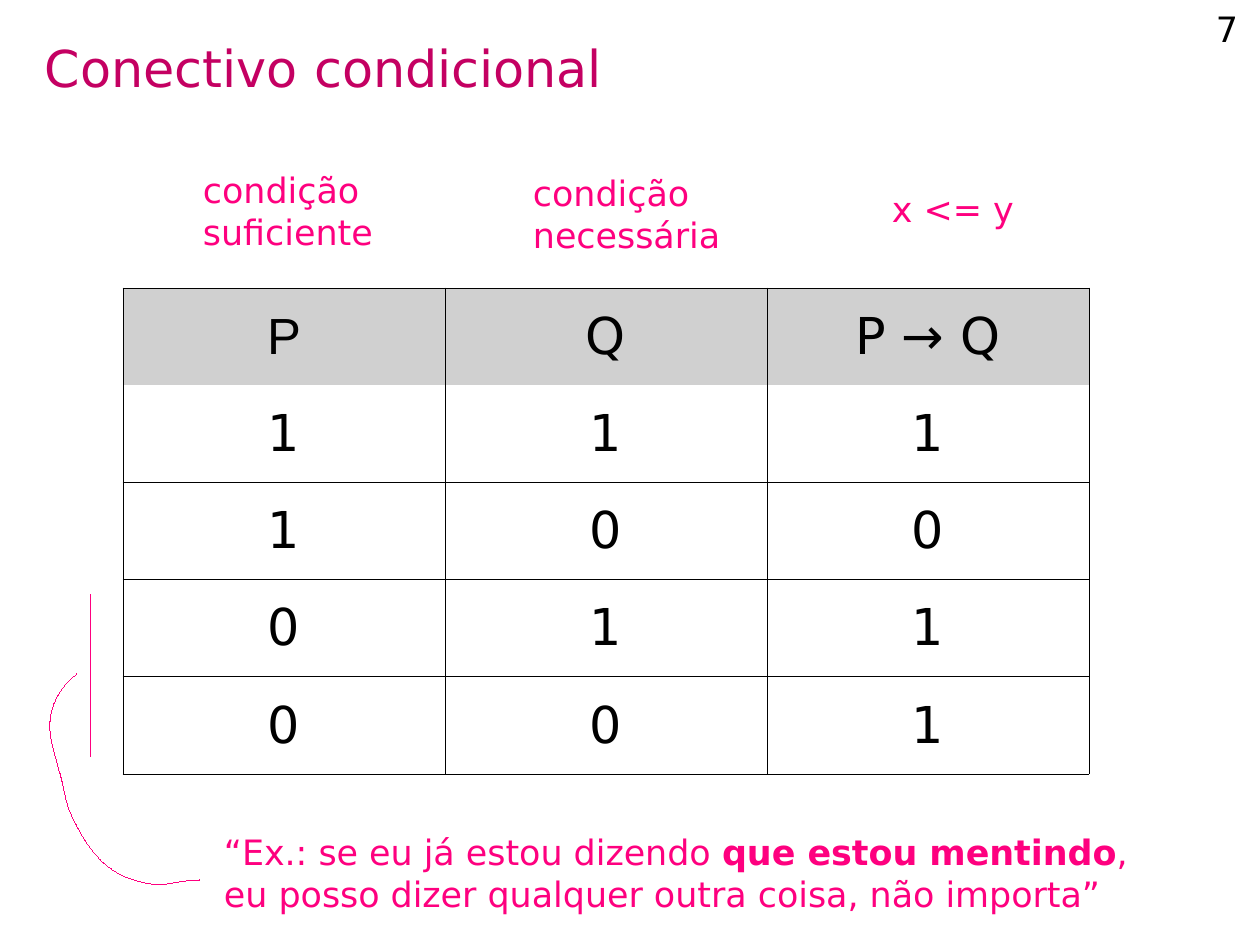
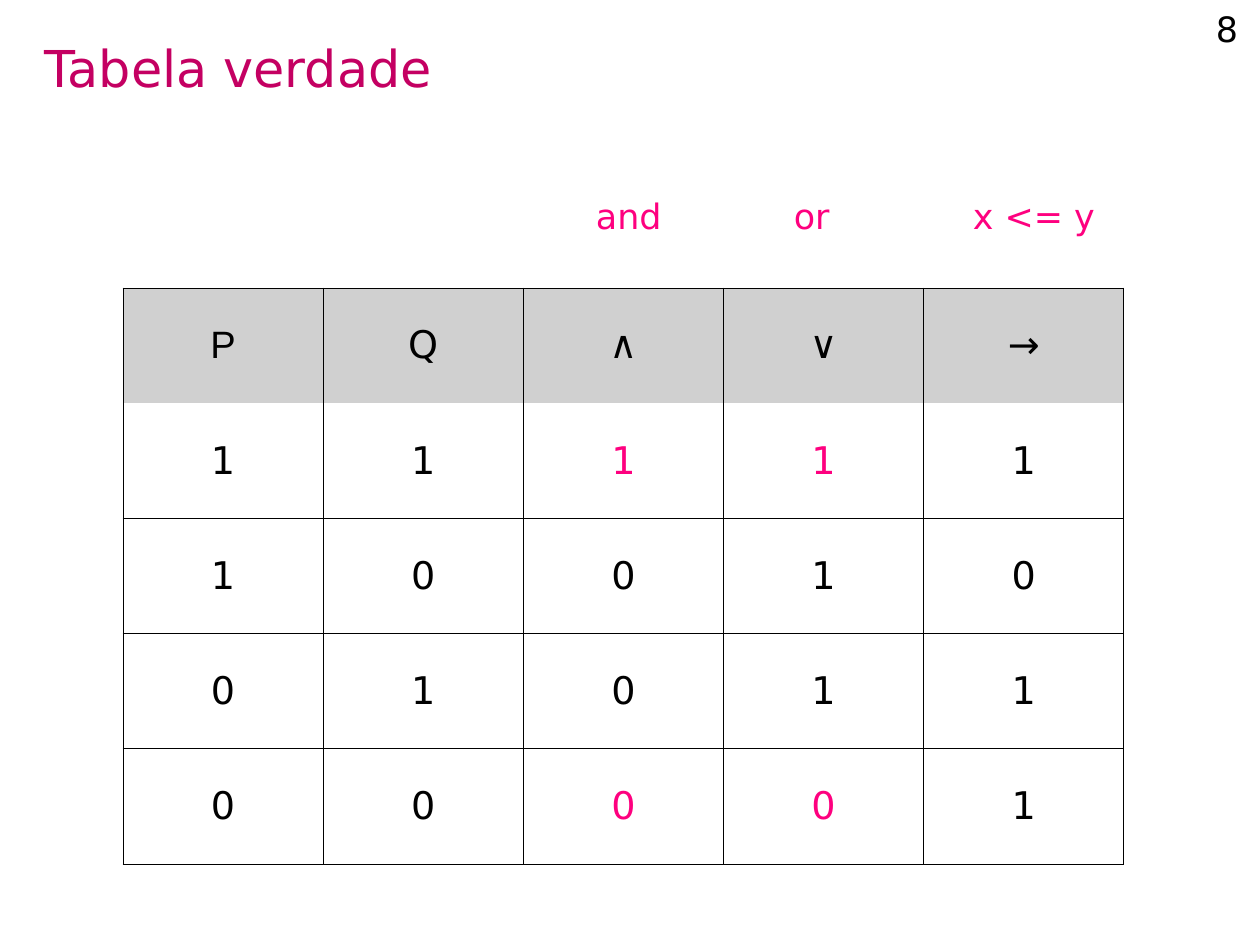
from dataclasses import dataclass

from lxml import etree
from pptx import Presentation, util as u
from pptx.dml.color import RGBColor
from pptx.enum import shapes, text as t
from pptx.oxml import ns

PX = 8000  # EMU; a slide of 28 by 21 cm is 1260 by 945 px
WIDE, HIGH = 1260, 945
PLAIN = "{2D5ABB26-0587-4C30-8999-92F81FD0307C}"  # table style without grid
LEFT, RIGHT = t.PP_ALIGN.LEFT, t.PP_ALIGN.RIGHT


@dataclass(frozen=True)
class Theme:
    title: str = "C40062"
    accent: str = "FE007F"
    ink: str = "000000"
    head: str = "D0D0D0"
    font: str = "DejaVu Sans"
    alt: str = "Arial"
    big: int = 32
    mid: int = 24
    note: int = 22
    grid: float = 0.57
    hair: float = 0.01


TH = Theme()


def rgb(code):
    return RGBColor.from_string(code)


def write(frame, words, size=TH.note, color=TH.accent, font=TH.font,
          align=LEFT):
    """Fill a frame: \\n parts paragraphs, \\v lines; asterisks hold bold."""
    for i, line in enumerate(words.split("\n")):
        para = frame.add_paragraph() if i else frame.paragraphs[0]
        para.alignment = align
        for k, part in enumerate(line.split("*")):
            for j, bit in enumerate(part.split("\v")):
                if j:
                    para.add_line_break()
                run = para.add_run()
                run.text = bit
                run.font.name = font
                run.font.size = u.Pt(size)
                run.font.bold = k % 2 == 1
                run.font.color.rgb = rgb(color)


def box(slide, area, words, wrap=True, pad=(11, 6), anchor=t.MSO_ANCHOR.TOP,
        **form):
    frame = slide.shapes.add_textbox(*(n * PX for n in area)).text_frame
    frame.margin_left = frame.margin_right = pad[0] * PX
    frame.margin_top = frame.margin_bottom = pad[1] * PX
    frame.vertical_anchor = anchor
    frame.word_wrap = wrap
    write(frame, words, **form)


def label(slide, area, words):
    box(slide, area, words, wrap=False)


def page(deck, title, num):
    slide = deck.slides.add_slide(deck.slide_layouts[6])
    box(slide, (45, 22, 1192, 90), title, pad=(0, 0),
        anchor=t.MSO_ANCHOR.MIDDLE, size=TH.big, color=TH.title)
    box(slide, (945, 8, 293, 65), str(num), pad=(0, 0), color=TH.ink,
        align=RIGHT)
    return slide


def edge(cell, sides):
    """Draw the named sides (from L, R, T, B) of a cell."""
    props = cell._tc.get_or_add_tcPr()
    for side in sides:
        line = etree.SubElement(props, ns.qn("a:ln" + side),
                                w=str(u.Pt(TH.grid)))
        fill = etree.SubElement(line, ns.qn("a:solidFill"))
        etree.SubElement(fill, ns.qn("a:srgbClr"), val=TH.ink)


def truth(slide, area, heads, rows, size, marks=()):
    """Truth table; marks holds the (row, column) pairs in accent colour."""
    data = [heads, *rows]
    table = slide.shapes.add_table(len(data), len(heads),
                                   *(n * PX for n in area)).table
    table.first_row = table.horz_banding = False
    table._tbl.tblPr.find(ns.qn("a:tableStyleId")).text = PLAIN
    for r, row in enumerate(data):
        for c, word in enumerate(row):
            cell = table.cell(r, c)
            cell.margin_left = cell.margin_right = 5 * PX
            cell.margin_top = cell.margin_bottom = 6 * PX
            cell.vertical_anchor = t.MSO_ANCHOR.MIDDLE
            edge(cell, "LRB" if r else "LRT")
            if r:
                cell.fill.background()
            else:
                cell.fill.solid()
                cell.fill.fore_color.rgb = rgb(TH.head)
            write(cell.text_frame, word, size=size,
                  color=TH.accent if (r, c) in marks else TH.ink,
                  font=TH.alt if word == "P" else TH.font,
                  align=t.PP_ALIGN.CENTER)


def thin(shape):
    shape.line.color.rgb = rgb(TH.accent)
    shape.line.width = u.Pt(TH.hair)


def rule(slide, *ends):
    line = slide.shapes.add_connector(shapes.MSO_CONNECTOR.STRAIGHT,
                                      *(n * PX for n in ends))
    thin(line)
    etree.SubElement(line._element.spPr, ns.qn("a:effectLst"))


def curve(slide, knots, tail, steps=12):
    """Chain of cubic arcs (start, then two controls and an end for each)."""
    dots = []
    for i in range(0, len(knots) - 1, 3):
        arc = knots[i:i + 4]
        for k in range(1, steps + 1):
            f = k / steps
            mix = ((1 - f) ** 3, 3 * f * (1 - f) ** 2,
                   3 * f * f * (1 - f), f ** 3)
            dots.append(tuple(sum(m * p[a] for m, p in zip(mix, arc)) * PX
                              for a in (0, 1)))
    dots.append((tail[0] * PX, tail[1] * PX))
    pen = slide.shapes.build_freeform(knots[0][0] * PX, knots[0][1] * PX)
    pen.add_line_segments(dots, close=False)
    shape = pen.convert_to_shape()
    shape.shadow.inherit = False
    shape.fill.background()
    thin(shape)


def cond(deck):
    slide = page(deck, "Conectivo condicional", 7)
    truth(slide, (123, 288, 966, 486), ("P", "Q", "P → Q"),
          ("111", "100", "011", "001"), TH.big)
    label(slide, (192, 163, 194, 93), "condição\nsuficiente")
    label(slide, (522, 166, 212, 93), "condição\vnecessária")
    label(slide, (881, 182, 146, 52), "x <= y")
    box(slide, (213, 825, 949, 93),
        "“Ex.: se eu já estou dizendo *que estou mentindo*, "
        "eu posso dizer qualquer outra coisa, não importa”")
    rule(slide, 90, 594, 90, 756)
    curve(slide, ((77, 674), (61, 685), (51, 704), (50, 722),
                  (49, 738), (55, 754), (59, 770),
                  (64, 786), (65, 802), (72, 816),
                  (80, 833), (89, 849), (104, 863),
                  (118, 876), (134, 881), (151, 884),
                  (166, 887), (182, 879), (197, 881)), (200, 880))


def full(deck):
    slide = page(deck, "Tabela verdade", 8)
    truth(slide, (123, 288, 1001, 576), "PQ∧∨→",
          ("11111", "10010", "01011", "00001"), TH.mid,
          marks={(1, 2), (1, 3), (4, 2), (4, 3)})
    for left, wide, words in ((585, 90, "and"), (783, 74, "or"),
                              (962, 146, "x <= y")):
        label(slide, (left, 189, wide, 52), words)


def main():
    deck = Presentation()
    deck.slide_width, deck.slide_height = WIDE * PX, HIGH * PX
    cond(deck)
    full(deck)
    deck.save("out.pptx")


if __name__ == "__main__":
    main()
